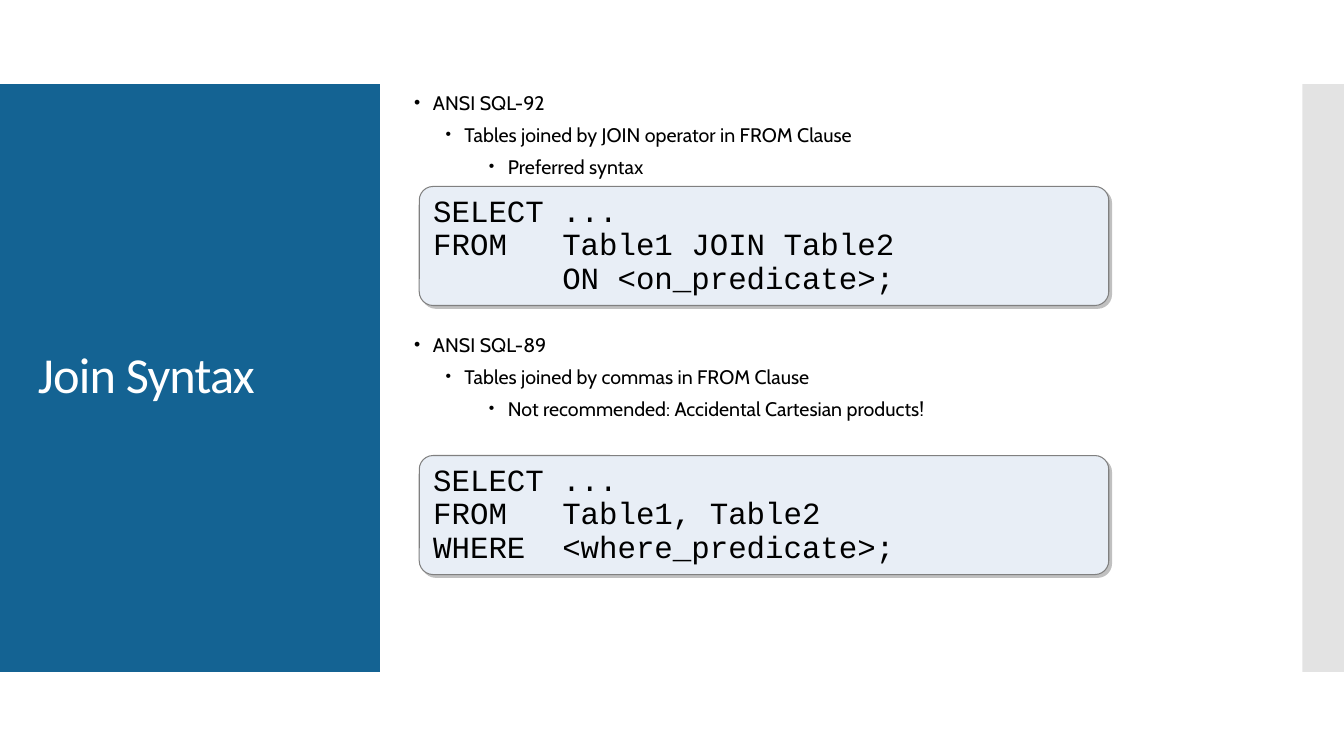
from lxml import etree
from pptx import Presentation
from pptx.dml.color import RGBColor
from pptx.enum.shapes import MSO_SHAPE
from pptx.enum.text import MSO_ANCHOR, PP_ALIGN
from pptx.oxml.ns import qn
from pptx.util import Pt

RECT, ROUNDED = MSO_SHAPE.RECTANGLE, MSO_SHAPE.ROUNDED_RECTANGLE
MIDDLE, LEFT = MSO_ANCHOR.MIDDLE, PP_ALIGN.LEFT

TITLE = "Join Syntax"
SECTIONS = [
    {
        "bullets": ["ANSI SQL-92", "Tables joined by JOIN operator in FROM Clause",
                    "Preferred syntax"],
        "bullets_top": 61.2,
        "code": ["SELECT ...", "FROM   Table1 JOIN Table2", "       ON <on_predicate>;"],
        "code_top": 133.2,
    },
    {
        "bullets": ["ANSI SQL-89", "Tables joined by commas in FROM Clause",
                    "Not recommended: Accidental Cartesian products!"],
        "bullets_top": 234,
        "code": ["SELECT ...", "FROM   Table1, Table2", "WHERE  <where_predicate>;"],
        "code_top": 325.4,
    },
]
LEVELS = [(13.5, 90), (36, 80), (67, 80)]
HANGING = 13.5
COLORS = {"panel": "146393", "strip": "C8C8C8", "code": "E8EEF6", "border": "808080",
          "shadow": "C0C0C0", "text": "000000", "title": "FFFFFF"}
SLIDE_W, SLIDE_H = 960, 540
BAND_TOP, BAND_H = 60, 420
PANEL_W, STRIP_W = 271.4, 29.8


def rgb(name):
    """Return the named colour."""
    return RGBColor.from_string(COLORS[name])


def add_box(slide, kind, box, fill):
    """Add a filled shape without line or shadow."""
    sp = slide.shapes.add_shape(kind, *map(Pt, box))
    sp.shadow.inherit = False
    sp.fill.solid()
    sp.fill.fore_color.rgb = rgb(fill)
    sp.line.fill.background()
    return sp


def add_text(slide, box):
    """Add a wrapping text box and return its text frame."""
    tf = slide.shapes.add_textbox(*map(Pt, box)).text_frame
    tf.word_wrap = True
    return tf


def style(p, font, size, color):
    """Format every run of a paragraph."""
    for r in p.runs:
        r.font.name = font
        r.font.size = Pt(size)
        r.font.color.rgb = rgb(color)


def add_bullets(slide, lines, top):
    """Add three nested bullet lines."""
    tf = add_text(slide, (288.7, top, 476, 76))
    tf.text = "\n".join(lines)
    for p, (indent, bullet_size) in zip(tf.paragraphs, LEVELS):
        p.level = LEVELS.index((indent, bullet_size))
        p.space_before = Pt(6)
        style(p, "Cabin", 14, "text")
        pPr = p._p.get_or_add_pPr()
        pPr.set("marL", str(Pt(indent)))
        pPr.set("indent", str(-Pt(HANGING)))
        etree.SubElement(pPr, qn("a:buSzPct"), val=str(bullet_size * 1000))
        etree.SubElement(pPr, qn("a:buFont"), typeface="Arial")
        etree.SubElement(pPr, qn("a:buChar"), char="•")


def add_code(slide, lines, top):
    """Add a rounded code panel with a hard shadow."""
    sp = add_box(slide, ROUNDED, (299.5, top, 492.5, 85), "code")
    sp.adjustments[0] = 0.116
    sp.line.color.rgb = rgb("border")
    sp.line.width = Pt(0.75)
    effects = sp._element.spPr.find(qn("a:effectLst"))
    shadow = etree.SubElement(effects, qn("a:outerShdw"), blurRad="0", dist=str(Pt(2.8)),
                              dir="2700000", algn="ctr", rotWithShape="0")
    etree.SubElement(shadow, qn("a:srgbClr"), val=COLORS["shadow"])
    tf = sp.text_frame
    tf.word_wrap = True
    tf.vertical_anchor = MIDDLE
    tf.text = "\n".join(lines)
    for p in tf.paragraphs:
        p.alignment = LEFT
        p.line_spacing = 0.9
        style(p, "Courier New", 22, "text")


def main():
    """Build and save the slide."""
    prs = Presentation()
    prs.slide_width, prs.slide_height = Pt(SLIDE_W), Pt(SLIDE_H)
    slide = prs.slides.add_slide(prs.slide_layouts[6])

    add_box(slide, RECT, (0, BAND_TOP, PANEL_W, BAND_H), "panel")
    strip = add_box(slide, RECT, (SLIDE_W - STRIP_W, BAND_TOP, STRIP_W, BAND_H), "strip")
    strip_color = strip._element.spPr.find(qn("a:solidFill"))[0]
    etree.SubElement(strip_color, qn("a:alpha"), val="50000")

    tf = add_text(slide, (20, 88.6, 232, 362))
    tf.vertical_anchor = MIDDLE
    tf.text = TITLE
    p = tf.paragraphs[0]
    p.line_spacing = 0.9
    style(p, "Calibri", 36, "title")
    p.runs[0]._r.get_or_add_rPr().set("spc", "-60")

    for section in SECTIONS:
        add_bullets(slide, section["bullets"], section["bullets_top"])
        add_code(slide, section["code"], section["code_top"])
    prs.save("out.pptx")


if __name__ == "__main__":
    main()
